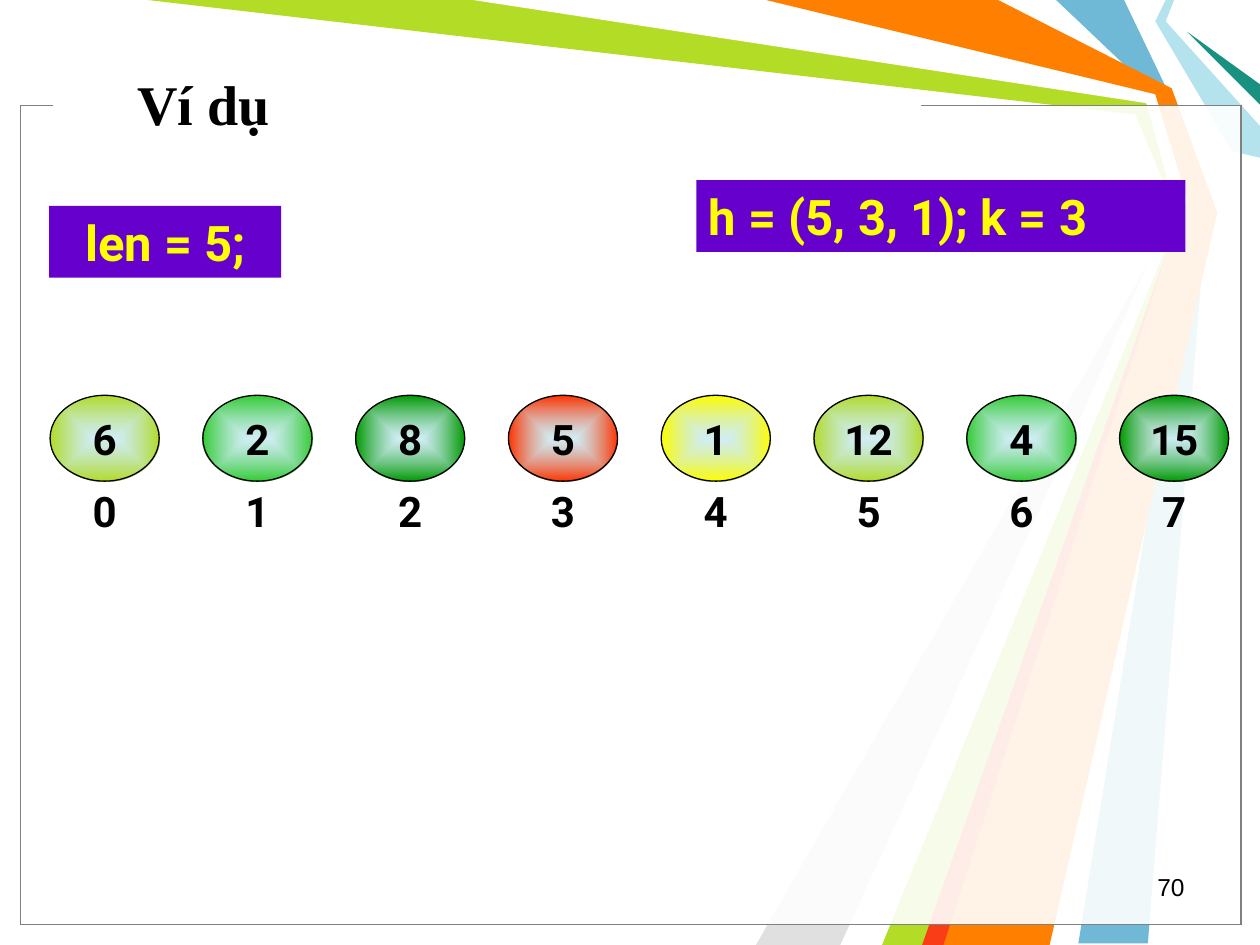
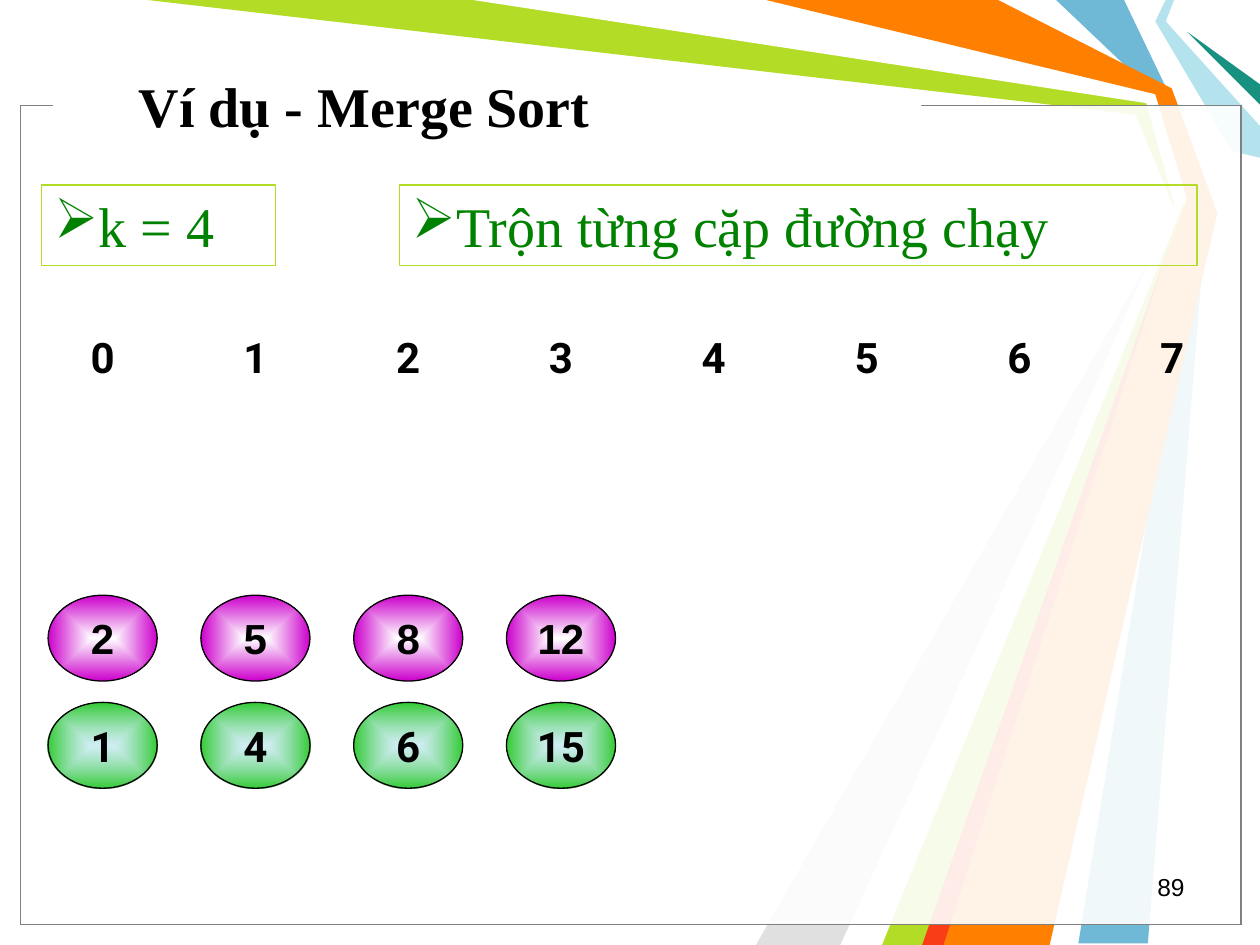
import pptx
import pptx.dml.color
import pptx.enum.shapes
import pptx.enum.text
import pptx.oxml
import pptx.oxml.ns
import pptx.util
from lxml import etree

Cm = pptx.util.Cm
RGB = pptx.dml.color.RGBColor
KIND = pptx.enum.shapes.MSO_SHAPE
ALIGN = pptx.enum.text.PP_ALIGN
qn = pptx.oxml.ns.qn

BLACK = RGB(0x00, 0x00, 0x00)
WHITE = RGB(0xFF, 0xFF, 0xFF)
GREY = RGB(0x80, 0x80, 0x80)
SMOKE = RGB(0xE0, 0xE0, 0xE0)
BLUE = RGB(0x6F, 0xB9, 0xD7)
ICE = RGB(0xB4, 0xE3, 0xEE)
LIME = RGB(0xB3, 0xDC, 0x27)
TEAL = RGB(0x18, 0x91, 0x80)
ORANGE = RGB(0xFF, 0x7F, 0x00)
RED = RGB(0xF9, 0x3D, 0x17)
GREEN = RGB(0x33, 0xCC, 0x33)
FOREST = RGB(0x00, 0x99, 0x00)
MOSS = RGB(0x00, 0x82, 0x00)
FLAME = RGB(0xFF, 0x33, 0x00)
YELLOW = RGB(0xFF, 0xFF, 0x00)
PURPLE = RGB(0x66, 0x00, 0xCC)
PINK = RGB(0xCC, 0x00, 0xCC)

STEP = 3.08  # distance between neighbouring array cells
CELL = 2.2   # width of one cell


def write(shape, text, size=24, font="Roboto", color=BLACK, bold=True,
          align=ALIGN.CENTER, wrap=True, bullet=None):
    frame = shape.text_frame
    frame.word_wrap = wrap
    frame.vertical_anchor = pptx.enum.text.MSO_ANCHOR.MIDDLE
    par = frame.paragraphs[0]
    par.alignment = align
    run = par.add_run()
    run.text = text
    run.font.size = pptx.util.Pt(size)
    run.font.name = font
    run.font.bold = bold
    run.font.color.rgb = color
    if bullet:
        props = par._p.get_or_add_pPr()
        etree.SubElement(props, qn("a:buChar")).set("char", bullet)


def draw(slide, kind, box, fill=None, line=None, core=None, alpha=None):
    """Add a preset shape; core is the inner colour of a gradient, alpha the opacity in percent."""
    shape = slide.shapes.add_shape(kind, *map(Cm, box))
    shape.shadow.inherit = False
    props = shape._element.spPr
    if fill is None:
        shape.fill.background()
    elif core is None:
        shape.fill.solid()
        shape.fill.fore_color.rgb = fill
    else:
        shape.fill.gradient()
        for stop, color in zip(shape.fill.gradient_stops, (core, fill)):
            stop.color.rgb = color
        grad = props.find(qn("a:gradFill"))
        grad.remove(grad.find(qn("a:lin")))
        way = etree.SubElement(grad, qn("a:path"))
        way.set("path", "shape")
        rect = etree.SubElement(way, qn("a:fillToRect"))
        for side in "ltrb":
            rect.set(side, "50000")
    if alpha:
        tint = next(props.iter(qn("a:srgbClr")))
        etree.SubElement(tint, qn("a:alpha")).set("val", str(alpha * 1000))
    if line is None:
        shape.line.fill.background()
    else:
        shape.line.color.rgb = line
        shape.line.width = pptx.util.Pt(0.75)
    return shape


deck = pptx.Presentation()
deck.slide_width, deck.slide_height = Cm(25.4), Cm(19.05)
layout = deck.slide_layouts[5]

# Title and page number of each slide
PAGES = [
    ("Ví dụ", (2.51, 1.19, 17.5, 1.78), "70"),
    ("Ví dụ - Merge Sort", (2.54, 1.07, 17.5, 2.11), "89"),
]
slides = []
for name, box, num in PAGES:
    slide = deck.slides.add_slide(layout)
    title = slide.shapes.title
    title.left, title.top, title.width, title.height = map(Cm, box)
    write(title, name, size=32, font="Times New Roman", align=ALIGN.LEFT)
    page = slide.shapes.add_textbox(Cm(18.21), Cm(17.45), Cm(5.92), Cm(0.84))
    write(page, num, size=14, font="Arial", bold=False, align=ALIGN.RIGHT)
    slides.append(slide)
first, second = slides

# Shared ribbons and frame, drawn once and moved to the layout
RIBBONS = [
    (BLUE, [(22.66, 0), (23.6, 1.96), (24.33, 4.24), (23.14, 19.02),
            (21.74, 19.02), (24.13, 4.24), (23.29, 1.9), (21.29, 0)]),
    (LIME, [(2.97, 0), (9.73, 0), (23.22, 1.98), (23.93, 4.29),
            (18.85, 19.05), (17.58, 19.05), (23.75, 4.39), (22.89, 2.31)]),
    (SMOKE, [(16.94, 19.05), (23.55, 4.6), (15.24, 19.05)]),
    (WHITE, [(9.53, 0), (23.11, 2.08), (23.67, 4.11), (17.15, 19.05),
             (17.78, 19.05), (23.9, 4.01), (23.29, 1.9), (15.24, 0)]),
    (ICE, [(23.5, 0), (23.29, 0.43), (24.84, 3.05), (25.4, 3.18),
           (25.4, 2.54), (23.5, 0.43), (23.67, 0)]),
    (TEAL, [(25.4, 2.11), (23.93, 0.64), (25.4, 1.7)]),
    (ORANGE, [(15.44, 0), (20.12, 0), (23.62, 1.78), (24.54, 4.29),
              (21.16, 19.05), (18.62, 19.05), (23.93, 4.01), (23.29, 1.9)]),
    (RED, [(18.59, 19.05), (23.67, 4.65), (19.02, 19.05)]),
]
decor = []
for color, points in RIBBONS:
    start, *rest = [(Cm(x), Cm(y)) for x, y in points]
    pen = first.shapes.build_freeform(*start)
    pen.add_line_segments(rest)
    ribbon = pen.convert_to_shape()
    ribbon.shadow.inherit = False
    ribbon.fill.solid()
    ribbon.fill.fore_color.rgb = color
    ribbon.line.fill.background()
    decor.append(ribbon)
for edge in (BLACK, GREY):
    decor.append(draw(first, KIND.RECTANGLE, (0.41, 2.13, 24.61, 16.51),
                      WHITE, edge, alpha=69))
decor.append(draw(first, KIND.RECTANGLE, (1.07, 1.88, 17.5, 0.43), WHITE))
for shape in decor:
    layout.shapes._spTree.append(shape._element)

# Array indices on both slides
for slide, left, top in ((first, 1.01, 9.45), (second, 0.97, 6.35)):
    for i in range(8):
        cell = draw(slide, KIND.OVAL, (left + i * STEP, top, CELL, 1.68))
        write(cell, str(i))

# Slide 1: the array, coloured by its place within a run of five
HUES = [LIME, GREEN, FOREST, FLAME, YELLOW]
for i, value in enumerate([6, 2, 8, 5, 1, 12, 4, 15]):
    ball = draw(first, KIND.OVAL, (1.01 + i * STEP, 7.97, CELL, 1.73),
                HUES[i % 5], BLACK, core=ICE, alpha=60)
    write(ball, str(value))

LABELS = [
    ("h = (5, 3, 1); k = 3", (14.04, 3.63, 9.86, 1.45), ALIGN.LEFT),
    ("len = 5;", (0.99, 4.15, 4.68, 1.45), ALIGN.CENTER),
]
for text, box, align in LABELS:
    label = draw(first, KIND.RECTANGLE, box, PURPLE)
    write(label, text, size=28, color=YELLOW, align=align)

# Slide 2: the two sorted runs waiting to be merged
RUNS = [
    ([2, 5, 8, 12], 12, PINK, WHITE, None, "Arial"),
    ([1, 4, 6, 15], 14.16, GREEN, ICE, 60, "Roboto"),
]
for values, top, color, core, alpha, font in RUNS:
    for i, value in enumerate(values):
        ball = draw(second, KIND.OVAL, (0.97 + i * STEP, top, CELL, 1.73),
                    color, BLACK, core=core, alpha=alpha)
        write(ball, str(value), font=font, wrap=font != "Arial")

NOTES = [("k = 4", 0.84, 4.72), ("Trộn từng cặp đường chạy", 8.05, 16.08)]
for text, left, width in NOTES:
    note = draw(second, KIND.RECTANGLE, (left, 3.73, width, 1.63), line=LIME)
    write(note, text, size=32, font="Times New Roman", color=MOSS, bold=False,
          align=ALIGN.LEFT, bullet="➢")

deck.save("out.pptx")
